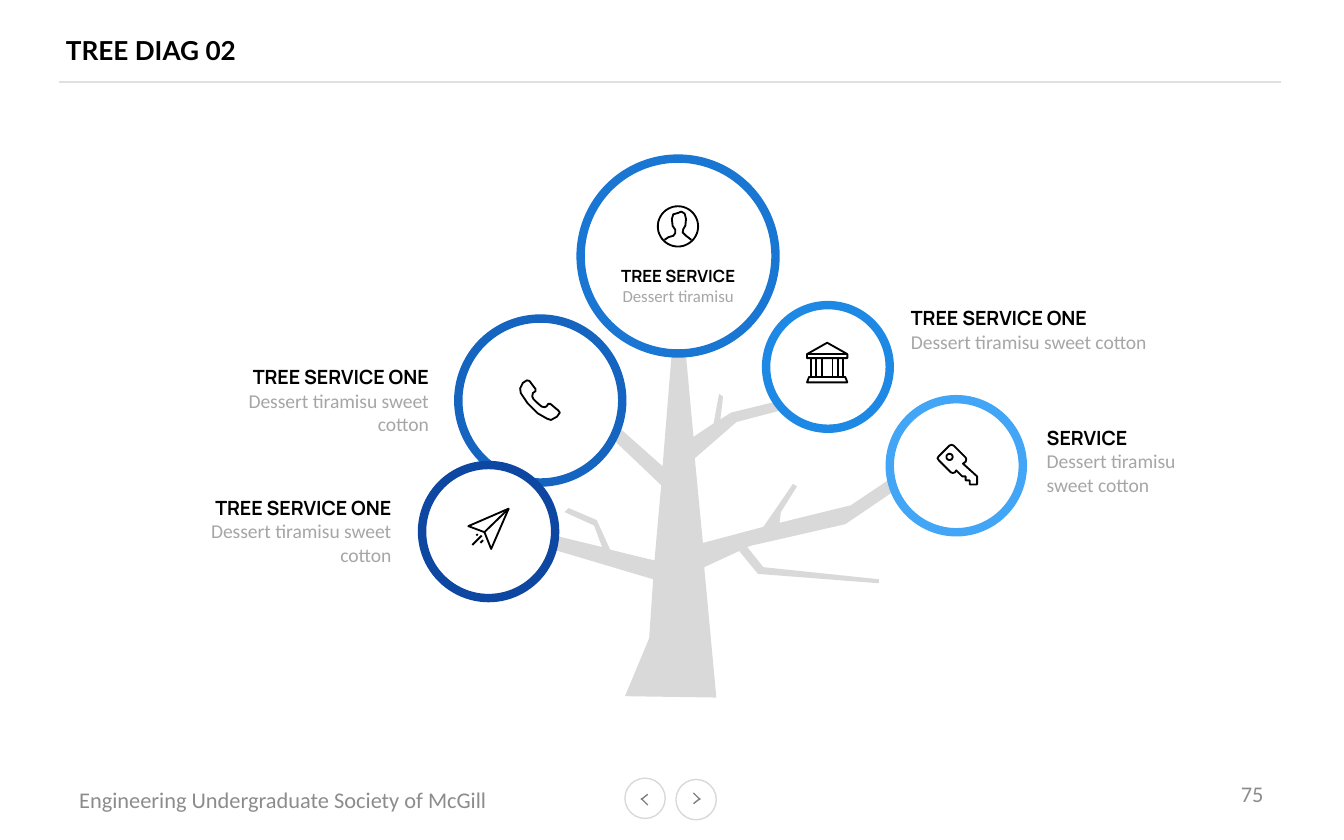
import math

import pptx
import pptx.dml.color
import pptx.enum.shapes
import pptx.enum.text
import pptx.oxml
import pptx.util

Inches, Pt = pptx.util.Inches, pptx.util.Pt
RGB = pptx.dml.color.RGBColor
MSO_SHAPE = pptx.enum.shapes.MSO_SHAPE
ALIGN = pptx.enum.text.PP_ALIGN
ANCHOR = pptx.enum.text.MSO_ANCHOR
AUTO = pptx.enum.text.MSO_AUTO_SIZE

BLACK = RGB(0x00, 0x00, 0x00)
WHITE = RGB(0xFF, 0xFF, 0xFF)
BODY_GRAY = RGB(0xA6, 0xA6, 0xA6)
FOOTER_GRAY = RGB(0x8C, 0x8C, 0x8C)
ARROW_GRAY = RGB(0x80, 0x80, 0x80)
TREE_GRAY = RGB(0xD9, 0xD9, 0xD9)
RULE_GRAY = RGB(0xE0, 0xE0, 0xE0)
BLUES = [RGB(0x19, 0x76, 0xD2), RGB(0x1E, 0x88, 0xE5), RGB(0x15, 0x65, 0xC0),
         RGB(0x0D, 0x47, 0xA1), RGB(0x42, 0xA5, 0xF5)]

TITLE = "TREE DIAG 02"
FOOTER = "Engineering Undergraduate Society of McGill"
PAGE = "75"
HEADING = "TREE SERVICE ONE"
DETAIL = "Dessert tiramisu sweet cotton"

LABELS = [
    ((6.68, 2.23, 2.36, 0.47), HEADING, DETAIL, ALIGN.LEFT, 10.5),
    ((7.69, 3.12, 1.26, 0.63), "SERVICE", DETAIL, ALIGN.LEFT, 10.5),
    ((1.42, 3.64, 1.59, 0.63), HEADING, DETAIL, ALIGN.RIGHT, 10.5),
    ((1.66, 2.67, 1.63, 0.63), HEADING, DETAIL, ALIGN.RIGHT, 10.5),
    ((4.29, 1.93, 1.51, 0.4), "TREE SERVICE", "Dessert tiramisu", ALIGN.CENTER, 9),
]

CIRCLES = [(4.32, 1.18, 1.45), (5.7, 2.27, 0.92), (3.41, 2.37, 1.22),
           (3.14, 3.46, 0.99), (6.62, 2.97, 0.99)]

BUTTONS = [(4.65, 5.79), (5.03, 5.8)]
ARROW_STROKES = [
    ((4.77, 5.95), (4.82, 5.91)), ((4.77, 5.94), (4.82, 5.99)),
    ((5.21, 5.94), (5.16, 5.98)), ((5.21, 5.95), (5.16, 5.9)),
]

TREE = [
    (5, 2.6), (5.1, 2.6), (5.16, 3.25), (5.31, 3.15), (5.35, 2.93), (5.38, 2.95),
    (5.36, 3.12), (5.44, 3.07), (5.93, 2.95), (5.94, 3.02), (5.48, 3.14),
    (5.17, 3.41), (5.23, 4.04), (5.68, 3.92), (5.9, 3.6), (5.93, 3.62),
    (5.81, 3.81), (5.8, 3.89), (6.33, 3.76), (7.06, 3.27), (7.1, 3.35),
    (6.29, 3.9), (5.59, 4.06), (5.56, 4.07), (5.68, 4.22), (6.54, 4.31),
    (6.54, 4.34), (5.64, 4.27), (5.5, 4.1), (5.24, 4.22), (5.33, 5.19),
    (4.65, 5.18), (4.83, 4.75), (4.86, 4.31), (3.65, 3.95), (3.65, 3.87),
    (4.48, 4.07), (4.42, 3.91), (4.2, 3.81), (4.23, 3.78), (4.44, 3.87),
    (4.54, 4.09), (4.87, 4.17), (4.92, 3.61), (4.32, 3.04), (4.38, 2.98),
    (4.93, 3.47),
]


def ring(cx, cy, radius, steps=48):
    angles = [2 * math.pi * i / steps for i in range(steps)]
    return [(cx + radius * math.cos(a), cy + radius * math.sin(a)) for a in angles], True


ICON_UNIT = 0.01
PLANE = (3.48, 3.78), [
    ([(0.5, 13.5), (30.5, 0.5), (17.5, 30.5), (12.5, 18)], True),
    ([(12.5, 18), (30.5, 0.5)], False),
    ([(3.5, 27.5), (10.5, 20.5)], False),
    ([(6.5, 20.5), (7.5, 19.5)], False),
    ([(9.5, 26), (11.5, 24)], False),
]
KEY = (6.96, 3.3), [
    ([(20.5, 15), (22.5, 13.5), (23, 12), (22.5, 10.5), (13.5, 1.5), (12, 1),
      (10.5, 1.5), (2.5, 9.5), (1.5, 11), (2.5, 12.5), (11.5, 21.5), (13, 22),
      (14.5, 21.5), (15.5, 20), (20, 24.5), (22.5, 24.5), (22.5, 27.5),
      (25.5, 27.5), (25.5, 30.5), (31, 30.5), (31, 24.5)], True),
    ring(10.5, 10, 2.3),
]
PERSON = (4.89, 1.53), [
    ring(15.5, 15.5, 15),
    ([(5.5, 25.5), (8.5, 23.5), (12, 22.5), (13.5, 20.5), (13.5, 18), (11.5, 15),
      (11, 10), (12, 6.5), (15.5, 5.5), (18, 4.5), (20.5, 6), (21.5, 10), (21, 15),
      (19.5, 17.5), (19, 20), (21.5, 22.5), (25.5, 25.5)], False),
]
BANK = (6, 2.54), [
    ([(0.5, 9.5), (15.5, 1), (30.5, 9.5), (30.5, 12.5), (0.5, 12.5)], True),
    ([(0.5, 9.5), (30.5, 9.5)], False),
    ([(2, 26.5), (29, 26.5), (30.5, 30.5), (0.5, 30.5)], True),
] + [([(x, 13), (x, 26)], False) for x in (3.5, 7.5, 11.5, 19.5, 23.5, 27.5)]
PHONE = (3.86, 2.82), [
    ([(8, 1.5), (12.5, 7.5), (12.5, 9), (10.5, 10.5), (10, 13), (11, 15), (14, 18),
      (17, 20.5), (19, 21), (20.5, 20.5), (22, 18.5), (23.5, 18.5), (29.5, 23.5),
      (30.5, 25), (28.5, 28), (24, 30.5), (21, 29.5), (14, 25.5), (6.5, 18),
      (1.5, 10.5), (1, 7), (3, 3), (6, 1)], True),
]


def set_text(p, text, font="Calibri", size=12, color=FOOTER_GRAY, bold=False, align=None):
    p.alignment = align
    r = p.add_run()
    r.text = text
    r.font.name, r.font.size, r.font.bold = font, Pt(size), bold
    r.font.color.rgb = color


def add_box(slide, box, anchor=ANCHOR.TOP):
    tf = slide.shapes.add_textbox(*map(Inches, box)).text_frame
    tf.word_wrap = True
    tf.vertical_anchor = anchor
    return tf


def add_line(slide, start, end, color):
    sp = slide.shapes.add_connector(pptx.enum.shapes.MSO_CONNECTOR.STRAIGHT,
                                    *map(Inches, start + end))
    sp.line.color.rgb, sp.line.width = color, Pt(0.75)
    sp._element.spPr.append(pptx.oxml.parse_xml(
        '<a:effectLst xmlns:a="http://schemas.openxmlformats.org/drawingml/2006/main"/>'))


def add_circle(slide, left, top, size, color, width):
    sp = slide.shapes.add_shape(MSO_SHAPE.OVAL, *map(Inches, (left, top, size, size)))
    sp.shadow.inherit = False
    sp.fill.solid()
    sp.fill.fore_color.rgb = WHITE
    sp.line.color.rgb, sp.line.width = color, Pt(width)


def add_outline(slide, contours, origin=(0, 0), unit=1):
    builder = None
    for points, closed in contours:
        pts = [tuple(Inches(o + v * unit) for o, v in zip(origin, pt)) for pt in points]
        if builder is None:
            builder = slide.shapes.build_freeform(*pts[0])
        else:
            builder.move_to(*pts[0])
        builder.add_line_segments(pts[1:], close=closed)
    sp = builder.convert_to_shape()
    sp.shadow.inherit = False
    return sp


def main():
    prs = pptx.Presentation()
    prs.slide_width, prs.slide_height = Inches(10), Inches(6.25)
    slide = prs.slides.add_slide(prs.slide_layouts[5])

    sp = slide.shapes.title
    sp.left, sp.top, sp.width, sp.height = map(Inches, (0.49, 0.16, 6.67, 0.43))
    tf = sp.text_frame
    tf.margin_left = tf.margin_top = tf.margin_right = tf.margin_bottom = 0
    tf.vertical_anchor, tf.auto_size = ANCHOR.MIDDLE, AUTO.NONE
    set_text(tf.paragraphs[0], TITLE, font="Lato", size=14, color=BLACK, bold=True,
             align=ALIGN.LEFT)
    add_line(slide, (9.53, 0.61), (0.44, 0.61), RULE_GRAY)

    set_text(add_box(slide, (0.49, 5.8, 3.39, 0.3), ANCHOR.MIDDLE).paragraphs[0], FOOTER)
    set_text(add_box(slide, (7.17, 5.74, 2.33, 0.33), ANCHOR.MIDDLE).paragraphs[0], PAGE,
             align=ALIGN.RIGHT)
    for left, top in BUTTONS:
        add_circle(slide, left, top, 0.3, TREE_GRAY, 0.75)
    for start, end in ARROW_STROKES:
        add_line(slide, start, end, ARROW_GRAY)

    tree = add_outline(slide, [(TREE, True)])
    tree.fill.solid()
    tree.fill.fore_color.rgb = TREE_GRAY
    tree.line.fill.background()
    for circle, color in zip(CIRCLES, BLUES):
        add_circle(slide, *circle, color, 4.5)

    for origin, contours in (PLANE, KEY, PERSON, BANK, PHONE):
        icon = add_outline(slide, contours, origin, ICON_UNIT)
        icon.fill.background()
        icon.line.color.rgb, icon.line.width = BLACK, Pt(1)

    for box, heading, detail, align, size in LABELS:
        tf = add_box(slide, box)
        tf.auto_size = AUTO.SHAPE_TO_FIT_TEXT
        set_text(tf.paragraphs[0], heading, font="Manrope", size=size, color=BLACK,
                 bold=True, align=align)
        set_text(tf.add_paragraph(), detail, size=size, color=BODY_GRAY, align=align)

    prs.save("out.pptx")


if __name__ == "__main__":
    main()
